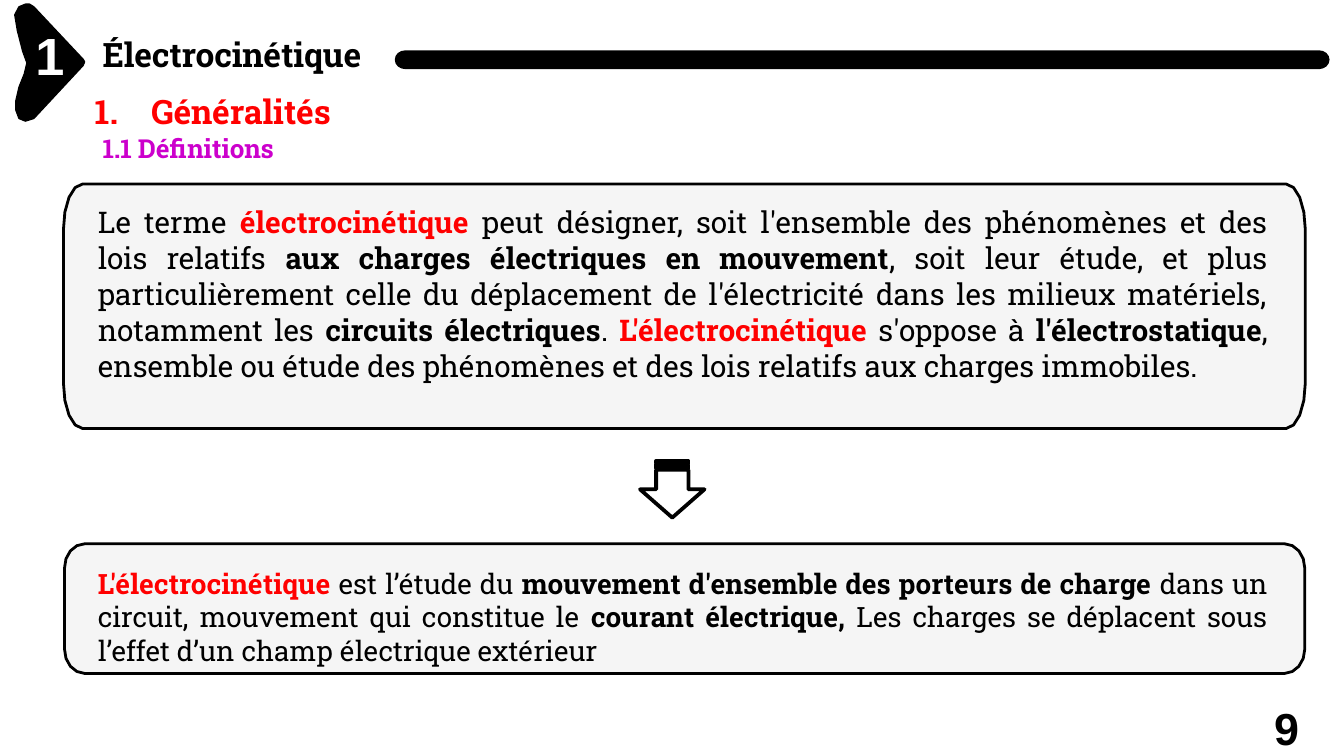
from math import cos, pi, sin

from lxml import etree
from pptx import Presentation
from pptx.dml.color import RGBColor
from pptx.enum.shapes import MSO_SHAPE
from pptx.enum.text import PP_ALIGN
from pptx.oxml.ns import qn
from pptx.util import Cm, Pt

STRIPED_ARROW = MSO_SHAPE.STRIPED_RIGHT_ARROW
JUSTIFY = PP_ALIGN.JUSTIFY
SLAB, SANS = "Roboto Slab", "Arial"
BLACK, WHITE, RED, PURPLE, PALE = "000000", "FFFFFF", "FF0000", "CC00CC", "F2F2F2"

CHEVRON = [
    (0.48, 0.08), (0.36, 0.13), (0.28, 0.28), (0.33, 0.58), (0.43, 0.97),
    (0.51, 1.19), (0.46, 1.4), (0.36, 1.65), (0.3, 1.91), (0.3, 2.08),
    (0.36, 2.24), (0.48, 2.29), (0.64, 2.24), (1.57, 1.24), (1.6, 1.17),
    (1.57, 1.12), (0.64, 0.13), (0.56, 0.08),
]

DEFINITION = [
    ("Le terme ", BLACK, False),
    ("électrocinétique", RED, True),
    (" peut désigner, soit l'ensemble des phénomènes et des lois relatifs ", BLACK, False),
    ("aux charges électriques en mouvement", BLACK, True),
    (", soit leur étude, et plus particulièrement celle du déplacement de "
     "l'électricité dans les milieux matériels, notamment les ", BLACK, False),
    ("circuits électriques", BLACK, True),
    (". ", BLACK, False),
    ("L'électrocinétique", RED, True),
    (" s'oppose à ", BLACK, False),
    ("l'électrostatique", BLACK, True),
    (", ensemble ou étude des phénomènes et des lois relatifs aux charges "
     "immobiles.", BLACK, False),
]

SUMMARY = [
    ("L'électrocinétique", RED, True),
    (" est l’étude du ", BLACK, False),
    ("mouvement d'ensemble des porteurs de charge", BLACK, True),
    (" dans un circuit, mouvement qui constitue le ", BLACK, False),
    ("courant électrique, ", BLACK, True),
    ("Les charges se déplacent sous l’effet d’un champ électrique extérieur",
     BLACK, False),
]


def rgb(value):
    return RGBColor.from_string(value)


def add_outline(slide, points, fill, line_width, opacity=None):
    corners = [(Cm(x), Cm(y)) for x, y in points]
    builder = slide.shapes.build_freeform(*corners[0], scale=1.0)
    builder.add_line_segments(corners[1:], close=True)
    outline = builder.convert_to_shape()
    outline.shadow.inherit = False
    outline.fill.solid()
    outline.fill.fore_color.rgb = rgb(fill)
    outline.line.color.rgb = rgb(BLACK)
    outline.line.width = Pt(line_width)
    if opacity:
        color = outline.fill._xPr.find(qn("a:solidFill"))[0]
        etree.SubElement(color, qn("a:alpha"), val=str(opacity * 1000))


def rounded_points(left, top, width, height, rx, ry):
    right, bottom = left + width, top + height
    centers = [
        (right - rx, bottom - ry), (left + rx, bottom - ry),
        (left + rx, top + ry), (right - rx, top + ry),
    ]
    return [
        (x + rx * cos(angle), y + ry * sin(angle))
        for quarter, (x, y) in enumerate(centers)
        for angle in ((quarter + step / 4) * pi / 2 for step in range(5))
    ]


def add_text_frame(slide, left, top, width, height, insets=(0.25, 0.13), wrap=True):
    box = slide.shapes.add_textbox(Cm(left), Cm(top), Cm(width), Cm(height))
    frame = box.text_frame
    frame.word_wrap = wrap
    frame.margin_left = frame.margin_right = Cm(insets[0])
    frame.margin_top = frame.margin_bottom = Cm(insets[1])
    return frame


def add_run(paragraph, text, size, color, bold=True, font=SLAB, spacing=None):
    run = paragraph.add_run()
    run.text = text
    run.font.size = Pt(size)
    run.font.name = font
    run.font.bold = bold
    run.font.color.rgb = rgb(color)
    if spacing is not None:
        run.font._element.set("spc", str(spacing))


def set_indent(paragraph, left, first=0):
    properties = paragraph._p.get_or_add_pPr()
    properties.set("marL", str(Cm(left)))
    properties.set("indent", str(Cm(first)))
    return properties


def add_label(slide, place, text, size, color, font, indent=0.03, spacing=None):
    paragraph = add_text_frame(slide, *place, insets=(0, 0.03)).paragraphs[0]
    set_indent(paragraph, indent)
    add_run(paragraph, text, size, color, font=font, spacing=spacing)
    return paragraph


def add_section_headings(slide):
    frame = add_text_frame(slide, 1.52, 1.58, 5.41, 1.65, wrap=False)
    section = frame.paragraphs[0]
    properties = set_indent(section, 1.09, -1.07)
    etree.SubElement(properties, qn("a:buAutoNum"), type="arabicPeriod")
    tabs = etree.SubElement(properties, qn("a:tabLst"))
    etree.SubElement(tabs, qn("a:tab"), pos=str(Cm(1.09)), algn="l")
    add_run(section, "Généralités", 18, RED, spacing=-10)

    subsection = frame.add_paragraph()
    set_indent(subsection, 0.17)
    subsection.space_before = Pt(1)
    add_run(subsection, "1.1 Définitions", 14, PURPLE, spacing=-10)


def add_panel(slide, frame_place, corner, text_place, size, runs):
    add_outline(slide, rounded_points(*frame_place, *corner), PALE, 1.5, opacity=74)
    paragraph = add_text_frame(slide, *text_place).paragraphs[0]
    paragraph.alignment = JUSTIFY
    for text, color, bold in runs:
        add_run(paragraph, text, size, color, bold)


def add_down_arrow(slide):
    arrow = slide.shapes.add_shape(STRIPED_ARROW, Cm(12.17), Cm(8.64), Cm(1.07), Cm(1.22))
    arrow.rotation = 90
    arrow.shadow.inherit = False
    arrow.fill.background()
    arrow.line.color.rgb = rgb(BLACK)
    arrow.line.width = Pt(2)


def main():
    presentation = Presentation()
    presentation.slide_width, presentation.slide_height = Cm(25.4), Cm(14.29)
    slide = presentation.slides.add_slide(presentation.slide_layouts[6])

    add_label(slide, (1.91, 0.61, 14.81, 0.84), "Électrocinétique", 18, BLACK, SLAB,
              spacing=-10)
    add_outline(slide, CHEVRON, BLACK, 0.75)
    add_label(slide, (0.64, 0.41, 0.61, 1.24), "1", 28, WHITE, SANS)
    add_outline(slide, rounded_points(7.48, 0.97, 17.63, 0.32, 0.18, 0.16), BLACK, 1)
    add_section_headings(slide)

    add_panel(slide, (1.2, 3.48, 23.47, 4.62), (0.36, 0.86),
              (1.6, 3.73, 22.61, 4.37), 16, DEFINITION)
    add_down_arrow(slide)
    add_panel(slide, (1.22, 10.28, 23.44, 2.45), (0.38, 0.46),
              (1.6, 10.57, 22.61, 2.18), 15, SUMMARY)

    page = add_label(slide, (23.98, 13.38, 0.69, 0.91), "9", 24, BLACK, SANS, indent=0.1)
    page.line_spacing = Pt(24.3)

    presentation.save("out.pptx")


if __name__ == "__main__":
    main()
